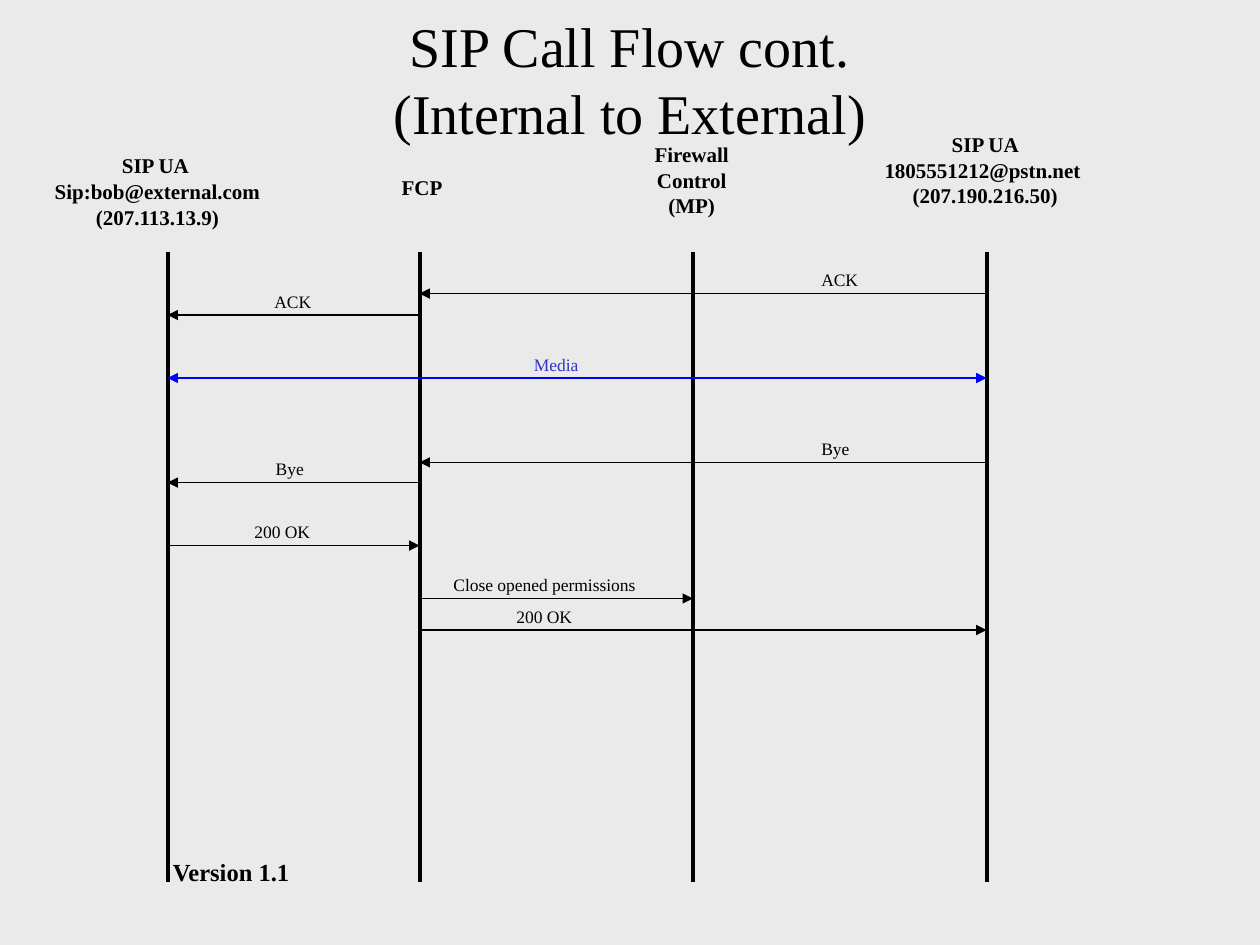
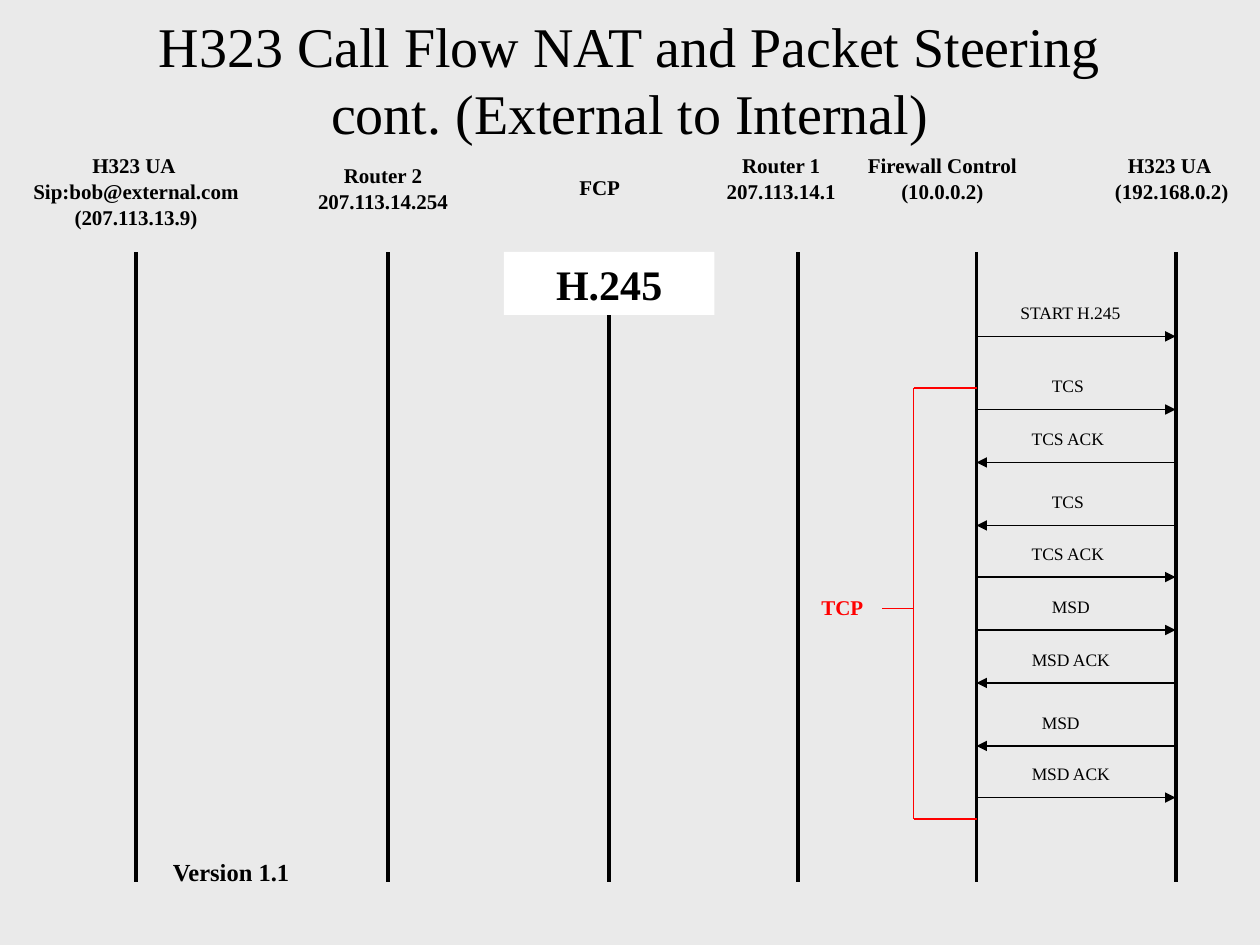
from lxml import etree
from pptx import Presentation
from pptx.dml.color import RGBColor
from pptx.enum.shapes import MSO_CONNECTOR, MSO_SHAPE
from pptx.enum.text import MSO_ANCHOR, PP_ALIGN
from pptx.oxml.ns import qn
from pptx.util import Inches, Pt

LINE = MSO_CONNECTOR.STRAIGHT
RECT = MSO_SHAPE.RECTANGLE
TOP, MIDDLE = MSO_ANCHOR.TOP, MSO_ANCHOR.MIDDLE
LEFT, CENTER = PP_ALIGN.LEFT, PP_ALIGN.CENTER
FONT = "Times New Roman"
BLACK, RED, BLUE, INDIGO = "000000", "FF0000", "0000FF", "3333CC"
BACK, WHITE = "EAEAEA", "FFFFFF"
color = RGBColor.from_string


def write(shape, text, size, ink=BLACK, bold=False, align=CENTER,
          tight=False, anchor=TOP):
    frame = shape.text_frame
    frame.word_wrap = True
    frame.vertical_anchor = anchor
    frame.text = text
    for i, para in enumerate(frame.paragraphs):
        para.alignment = align
        if tight:
            para.line_spacing = 0.5
        para.space_before = Pt(7.5 if i else 0)
        para.font.name = FONT
        para.font.size = Pt(size)
        para.font.bold = bold
        para.font.color.rgb = color(ink)


def draw(slide, x1, y1, x2, y2, ink=BLACK, width=0.75, ends=()):
    line = slide.shapes.add_connector(
        LINE, Inches(x1), Inches(y1), Inches(x2), Inches(y2))
    line.line.color.rgb = color(ink)
    line.line.width = Pt(width)
    for end in ends:
        etree.SubElement(line.line._get_or_add_ln(), qn(f"a:{end}"), type="triangle")
    etree.SubElement(line._element.spPr, qn("a:effectLst"))


flows = [
    {
        "title": "SIP Call Flow cont.\v(Internal to External)",
        "lanes": [1.33, 3.33, 5.5, 7.83],
        "heads": [
            ("SIP UA \nSip:bob@external.com\n(207.113.13.9)", 1.25, 1.25, 1.95),
            ("FCP", 3.35, 1.42, 0.7),
            ("Firewall\nControl\n(MP)", 5.49, 1.16, 0.9),
            ("SIP UA\n1805551212@pstn.net \n(207.190.216.50)", 7.82, 1.08, 1.9),
        ],
        "gap": 0.17,
        "calls": [
            ("ACK", 6.42, 2.33, 3, 1),
            ("ACK", 2.08, 2.5, 1, 0),
            ("Media", 4.08, 3, 0, 3),
            ("Bye", 6.42, 3.67, 3, 1),
            ("Bye", 2.09, 3.83, 1, 0),
            ("200 OK", 1.92, 4.33, 0, 1),
            ("Close opened permissions", 3.5, 4.75, 1, 2),
            ("200 OK", 4, 5, 1, 3),
        ],
    },
    {
        "title": "H323 Call Flow NAT and Packet Steering\vcont. (External to Internal)",
        "lanes": [1.08, 3.08, 4.83, 6.33, 7.75, 9.33],
        "heads": [
            ("H323 UA \nSip:bob@external.com\n(207.113.13.9)", 1.08, 1.25, 1.95),
            ("Router 2\n207.113.14.254", 3.04, 1.33, 1.35),
            ("FCP", 4.76, 1.42, 0.7),
            ("Router 1\n207.113.14.1", 6.2, 1.25, 1.2),
            ("Firewall Control\n(10.0.0.2)", 7.48, 1.25, 1.5),
            ("H323 UA \n(192.168.0.2)", 9.3, 1.25, 1.2),
        ],
        "gap": 0.25,
        "calls": [
            ("START H.245", 8, 2.67, 4, 5),
            ("TCS", 8.25, 3.25, 4, 5),
            ("TCS ACK", 8.09, 3.67, 5, 4),
            ("TCS", 8.25, 4.17, 5, 4),
            ("TCS ACK", 8.09, 4.58, 4, 5),
            ("MSD", 8.25, 5, 4, 5),
            ("MSD ACK", 8.09, 5.42, 5, 4),
            ("MSD", 8.17, 5.92, 5, 4),
            ("MSD ACK", 8.09, 6.33, 4, 5),
        ],
    },
]
widths = {
    "ACK": 0.6, "Media": 0.67, "Bye": 0.5, "200 OK": 0.75,
    "Close opened permissions": 1.81, "START H.245": 1.15,
    "TCS": 0.6, "TCS ACK": 0.9, "MSD": 0.6, "MSD ACK": 0.95,
}

prs = Presentation()
prs.slide_width, prs.slide_height = Inches(10), Inches(7.5)
fill = prs.slide_master.background.fill
fill.solid()
fill.fore_color.rgb = color(BACK)

for flow in flows:
    slide = prs.slides.add_slide(prs.slide_layouts[5])
    title = slide.shapes.title
    title.left, title.top = Inches(0), Inches(0)
    title.width, title.height = Inches(10), Inches(1.25)
    write(title, flow["title"], 32, anchor=MIDDLE)

    lanes = flow["lanes"]
    for x in lanes:
        draw(slide, x, 2, x, 7, width=2.25)
    for text, mid, y, w in flow["heads"]:
        high = 0.2 * len(text.split("\n"))
        box = slide.shapes.add_textbox(
            Inches(mid - w / 2), Inches(y), Inches(w), Inches(high))
        write(box, text, 12, bold=True, tight=True)

    for text, x, y, start, end in flow["calls"]:
        media = text == "Media"
        draw(slide, lanes[start], y, lanes[end], y, BLUE if media else BLACK,
             ends=("headEnd", "tailEnd") if media else ("tailEnd",))
        box = slide.shapes.add_textbox(
            Inches(x), Inches(y - flow["gap"]), Inches(widths[text]), Inches(0.19))
        write(box, text, 10, INDIGO if media else BLACK,
              align=CENTER if media else LEFT, tight=True)

    mark = slide.shapes.add_textbox(Inches(0.25), Inches(6.75), Inches(3.17), Inches(0.5))
    write(mark, "Version 1.1", 14, bold=True)

phase = slide.shapes.add_shape(RECT, Inches(4), Inches(2), Inches(1.67), Inches(0.5))
phase.shadow.inherit = False
phase.fill.solid()
phase.fill.fore_color.rgb = color(WHITE)
phase.line.fill.background()
write(phase, "H.245", 24, bold=True)

tcp = slide.shapes.add_textbox(Inches(6.42), Inches(4.67), Inches(0.6), Inches(0.3))
write(tcp, "TCP", 12, RED, bold=True, align=LEFT)
for x1, y1, x2, y2 in [(7.25, 3.08, 7.25, 6.5), (7.25, 3.08, 7.75, 3.08),
                       (7.25, 6.5, 7.75, 6.5), (7, 4.83, 7.25, 4.83)]:
    draw(slide, x1, y1, x2, y2, RED)

prs.save("out.pptx")
